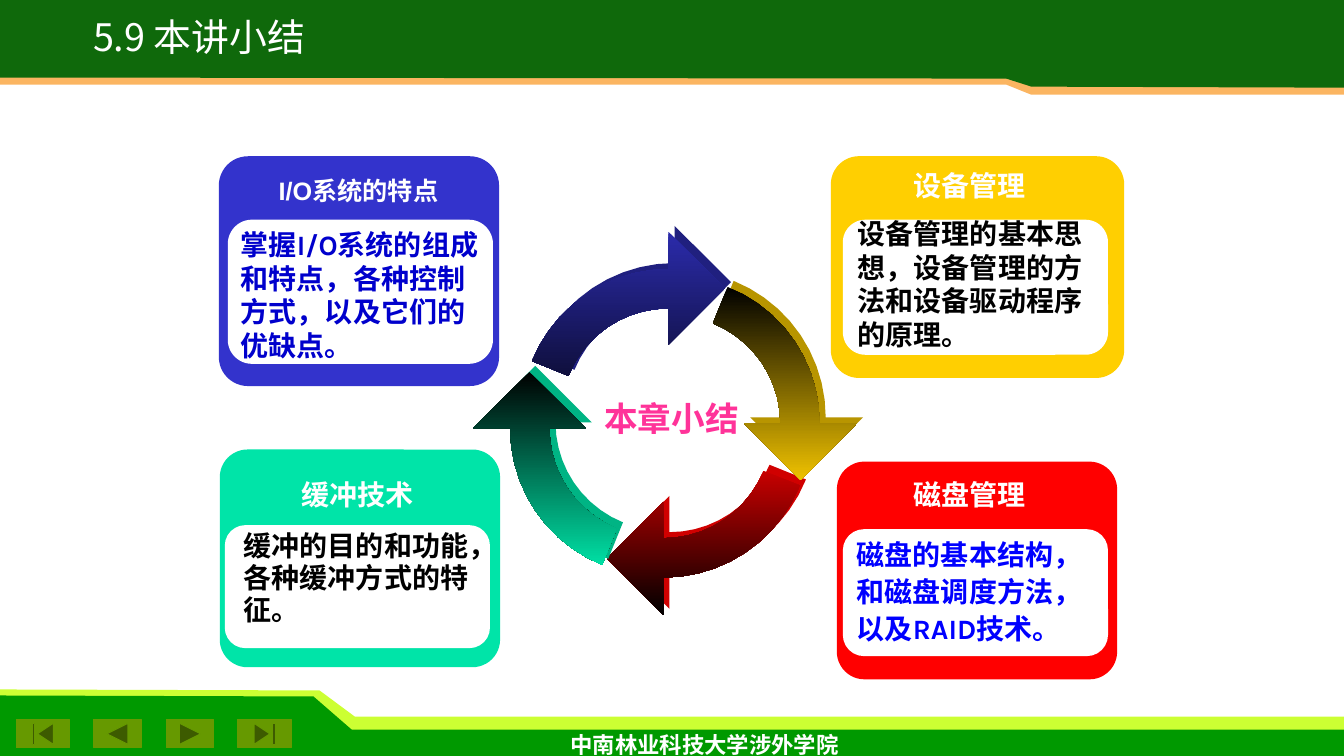
from dataclasses import dataclass
from math import cos, radians, sin

from lxml.etree import SubElement
from pptx import Presentation
from pptx.dml.color import RGBColor
from pptx.enum.shapes import MSO_SHAPE
from pptx.enum.text import MSO_ANCHOR, PP_ALIGN
from pptx.oxml.ns import qn
from pptx.util import Pt

PX = 9144
CJK_FONT = "Noto Sans CJK SC"
ARC_SWEEP = 68
ARC_STEPS = 10
Box = tuple[int, int, int, int]
Points = list[tuple[float, float]]


@dataclass
class Label:
    text: str
    box: Box
    size: int
    color: str
    font: str = "Karla"
    align: PP_ALIGN = PP_ALIGN.CENTER
    spacing: float = 1.0
    bold: bool = True
    wrap: bool = True


@dataclass
class Card:
    box: Box
    color: str
    panel: Box
    heading: Label
    body: Label


@dataclass
class Arrow:
    center: tuple[int, int]
    turn: int
    top: str
    bottom: str
    side: str


@dataclass
class Band:
    color: str
    points: Points


@dataclass
class Button:
    kind: MSO_SHAPE
    left: int
    width: int


LEFT = PP_ALIGN.LEFT
BANDS = [
    Band("CCFF33", [(0, 684), (317, 685), (352, 711), (1333, 711), (1333, 740), (0, 740)]),
    Band("009900", [(0, 690), (311, 691), (349, 724), (1333, 724), (1333, 750), (0, 750)]),
    Band("FBB561", [(0, 0), (1333, 0), (1333, 94), (1023, 94), (998, 84), (0, 84)]),
    Band("0F690B", [(0, 0), (1333, 0), (1333, 87), (1023, 86), (998, 78), (0, 77)]),
]
BUTTONS = [
    Button(MSO_SHAPE.ACTION_BUTTON_BEGINNING, 16, 53),
    Button(MSO_SHAPE.ACTION_BUTTON_BACK_OR_PREVIOUS, 93, 47),
    Button(MSO_SHAPE.ACTION_BUTTON_FORWARD_OR_NEXT, 165, 47),
    Button(MSO_SHAPE.ACTION_BUTTON_END, 236, 53),
]
CARDS = [
    Card((218, 446, 278, 216), "00E4A8", (223, 521, 263, 122),
         Label("缓冲技术", (241, 469, 228, 44), 20, "FFFFFF"),
         Label("缓冲的目的和功能，各种缓冲方式的特征。", (232, 522, 253, 106), 20,
               "000000", align=LEFT, spacing=0.95)),
    Card((217, 155, 278, 228), "3333CC", (226, 218, 263, 143),
         Label("I/O系统的特点", (210, 169, 291, 40), 18, "FFFFFF", "Arial"),
         Label("掌握I/O系统的组成和特点，各种控制方式，以及它们的优缺点。",
               (229, 221, 259, 145), 20, "0000CC", align=LEFT)),
    Card((830, 458, 278, 216), "FF0000", (836, 525, 263, 126),
         Label("磁盘管理", (840, 469, 244, 44), 20, "FFFFFF", "Arial"),
         Label("磁盘的基本结构，和磁盘调度方法，以及RAID技术。",
               (840, 525, 253, 121), 20, "0000FF", align=LEFT, spacing=1.1)),
    Card((824, 155, 291, 220), "FFCF01", (836, 218, 263, 134),
         Label("设备管理", (808, 162, 307, 44), 20, "FFFFFF", "Arial"),
         Label("设备管理的基本思想，设备管理的方法和设备驱动程序的原理。",
               (841, 210, 253, 145), 20, "000000", "Arial", LEFT)),
]
ARROWS = [
    Arrow((658, 427), 90, "C80000", "000000", "D00000"),
    Arrow((652, 425), 180, "000000", "00DFA4", "00B484"),
    Arrow((663, 413), 270, "2B2BAB", "0F0F3D", "20207F"),
    Arrow((667, 420), 0, "000000", "EEC100", "B89500"),
]
TITLE = Label("5.9 本讲小结", (36, 17, 323, 47), 27, "FFFFFF", CJK_FONT,
              spacing=0.8, bold=False, wrap=False)
CENTER = Label("本章小结", (562, 390, 208, 50), 24, "FF3399", "Arial")
FOOTER = Label("中南林业科技大学涉外学院", (556, 720, 292, 37), 16, "FFFFFF",
               align=LEFT, wrap=False)


def rgb(color: str) -> RGBColor:
    return RGBColor.from_string(color)


def emu(box: Box) -> list[int]:
    return [n * PX for n in box]


def paint(sp, color: str) -> None:
    sp.shadow.inherit = False
    sp.fill.solid()
    sp.fill.fore_color.rgb = rgb(color)
    sp.line.fill.background()


def add_polygon(slide, points: Points, color: str):
    scaled = [(x * PX, y * PX) for x, y in points]
    builder = slide.shapes.build_freeform(*scaled[0], scale=1.0)
    builder.add_line_segments(scaled[1:], close=True)
    sp = builder.convert_to_shape()
    paint(sp, color)
    return sp


def add_button(slide, button: Button) -> None:
    sp = slide.shapes.add_shape(button.kind, *emu((button.left, 714, button.width, 28)))
    paint(sp, "669900")
    sp.line.color.rgb = rgb("669900")
    sp.line.width = Pt(0.75)


def write(sp, label: Label) -> None:
    tf = sp.text_frame
    tf.text = label.text
    tf.word_wrap = label.wrap
    p = tf.paragraphs[0]
    p.alignment = label.align
    p.line_spacing = label.spacing
    r = p.runs[0]
    r.font.size = Pt(label.size)
    r.font.bold = label.bold
    r.font.name = label.font
    r.font.color.rgb = rgb(label.color)
    SubElement(r.font._element, qn("a:ea")).set("typeface", CJK_FONT)


def add_label(slide, label: Label) -> None:
    write(slide.shapes.add_textbox(*emu(label.box)), label)


def add_rounded(slide, box: Box, color: str, radius: float) -> None:
    sp = slide.shapes.add_shape(MSO_SHAPE.ROUNDED_RECTANGLE, *emu(box))
    sp.adjustments[0] = radius
    paint(sp, color)


def add_card(slide, card: Card) -> None:
    add_rounded(slide, card.box, card.color, 0.127)
    add_rounded(slide, card.panel, "FFFFFF", 0.167)
    add_label(slide, card.heading)
    add_label(slide, card.body)


def arc(radius: int) -> Points:
    angles = [radians(ARC_SWEEP * (i / ARC_STEPS - 1)) for i in range(ARC_STEPS + 1)]
    return [(radius * cos(a), radius * sin(a)) for a in angles]


def arrow_points(arrow: Arrow) -> Points:
    outline = arc(146) + [(183, 0), (127, 56), (71, 0)] + arc(107)[::-1]
    c, s = cos(radians(arrow.turn)), sin(radians(arrow.turn))
    cx, cy = arrow.center
    return [(cx + x * c - y * s, cy + x * s + y * c) for x, y in outline]


def add_arrow(slide, arrow: Arrow) -> None:
    points = arrow_points(arrow)
    add_polygon(slide, [(x + 6, y - 6) for x, y in points], arrow.side)
    face = add_polygon(slide, points, arrow.top)
    face.fill.gradient()
    face.fill.gradient_angle = 270
    for stop, color in zip(face.fill.gradient_stops, (arrow.top, arrow.bottom)):
        stop.color.rgb = rgb(color)


def place_title(slide) -> None:
    title = slide.shapes.title
    title.left, title.top, title.width, title.height = emu(TITLE.box)
    write(title, TITLE)
    title.text_frame.vertical_anchor = MSO_ANCHOR.MIDDLE
    slide.shapes._spTree.append(title._element)


def main() -> None:
    prs = Presentation()
    prs.slide_width, prs.slide_height = 1333 * PX, 750 * PX
    slide = prs.slides.add_slide(prs.slide_layouts[5])
    for band in BANDS:
        add_polygon(slide, band.points, band.color)
    for button in BUTTONS:
        add_button(slide, button)
    add_label(slide, FOOTER)
    for card in CARDS:
        add_card(slide, card)
    add_label(slide, CENTER)
    for arrow in ARROWS:
        add_arrow(slide, arrow)
    place_title(slide)
    prs.save("out.pptx")


if __name__ == "__main__":
    main()
